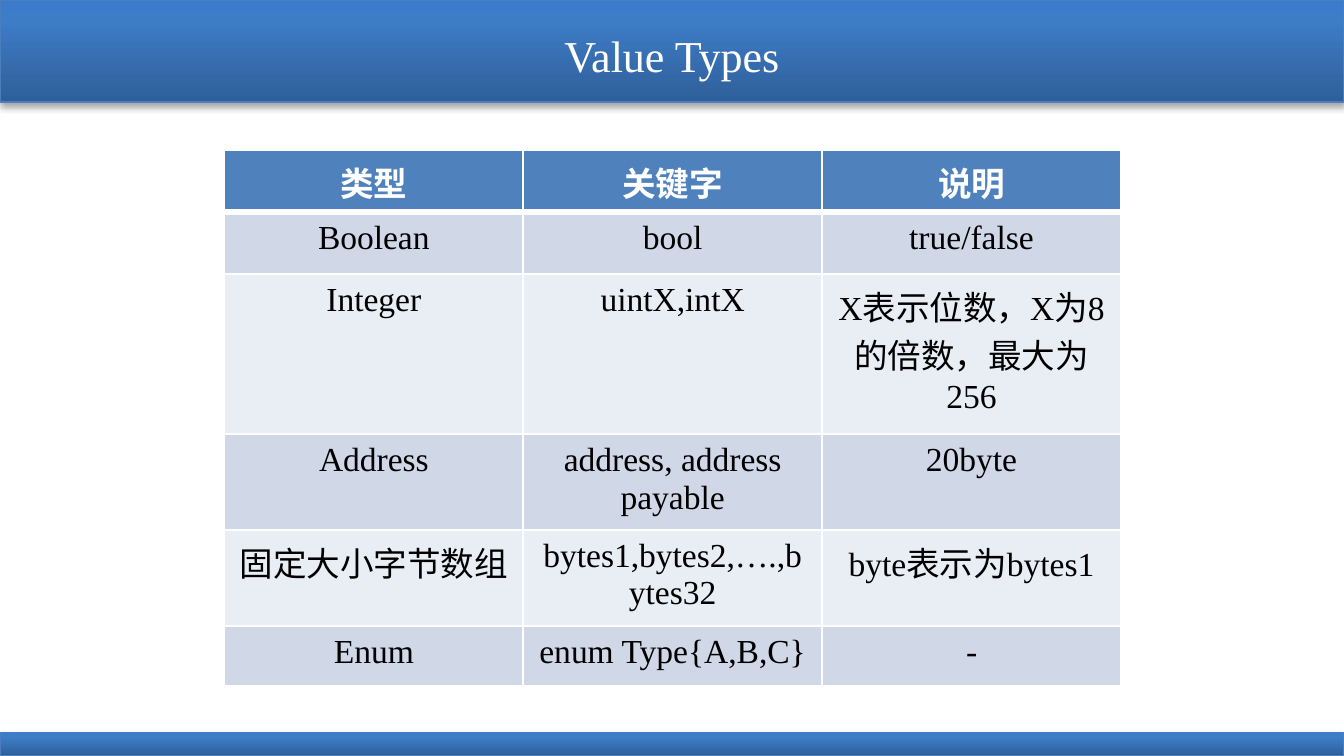
from pptx import Presentation, oxml, util as u
from pptx.dml.color import RGBColor
from pptx.enum import shapes, text
from pptx.oxml import ns

Pt = u.Pt


def color(value):
    return RGBColor.from_string(value)


def add_xml(parent, xml):
    tag, rest = xml.split(" ", 1)
    parent.append(oxml.parse_xml(f"{tag} {ns.nsdecls('a')} {rest}"))


presentation = Presentation()
presentation.slide_width, presentation.slide_height = Pt(640), Pt(360)
slide = presentation.slides.add_slide(presentation.slide_layouts[6])

# Header and footer bars: vertical gradient, thin outline, soft shadow
gradient_stops = [(0, "2F5F99"), (80, "3D7CC7"), (100, "3A7CCB")]
for top, height in [(0, 48.6), (348.8, 11.2)]:
    bar = slide.shapes.add_shape(
        shapes.MSO_SHAPE.RECTANGLE, 0, Pt(top), Pt(640), Pt(height))
    bar.line.color.rgb = color("4B7EBC")
    bar.line.width = Pt(0.75)
    bar.fill.gradient()
    bar.fill.gradient_angle = 90
    properties = bar._element.spPr
    stop_list = properties.find(".//" + ns.qn("a:gsLst"))
    for stop in list(stop_list):
        stop_list.remove(stop)
    for position, value in gradient_stops:
        add_xml(stop_list, f'<a:gs pos="{position * 1000}"><a:srgbClr val="{value}"/></a:gs>')
    bar.shadow.inherit = False
    add_xml(properties.find(ns.qn("a:effectLst")),
            f'<a:outerShdw blurRad="{Pt(3.1)}" dist="{Pt(1.8)}" dir="5400000" rotWithShape="0">'
            '<a:srgbClr val="000000"><a:alpha val="35000"/></a:srgbClr></a:outerShdw>')

# Title
title = slide.shapes.add_textbox(0, Pt(9), Pt(640), Pt(34.6))
title.text_frame.word_wrap = True
title.text_frame.vertical_anchor = text.MSO_ANCHOR.MIDDLE
paragraph = title.text_frame.paragraphs[0]
paragraph.text = "Value Types"
paragraph.alignment = text.PP_ALIGN.CENTER
paragraph.font.name = "Times New Roman"
paragraph.font.size = Pt(21)
paragraph.font.color.rgb = color("FFFFFF")

# Table of value types: row height, then cell texts
rows = [
    (29.5, ("类型", "关键字", "说明")),
    (29.3, ("Boolean", "bool", "true/false")),
    (76.4, ("Integer", "uintX,intX", "X表示位数，X为8的倍数，最大为256")),
    (42.9, ("Address", "address, address payable", "20byte")),
    (42.6, ("固定大小字节数组", "bytes1,bytes2,….,bytes32", "byte表示为bytes1")),
    (28.8, ("Enum", "enum Type{A,B,C}", "-")),
]
table = slide.shapes.add_table(
    len(rows), 3, Pt(106.9), Pt(71.6), Pt(426.9), Pt(sum(height for height, _ in rows))).table

for row_index, (height, contents) in enumerate(rows):
    table.rows[row_index].height = Pt(height)
    header = row_index == 0
    fill = "4F81BD" if header else ("E9EDF4", "D0D8E8")[row_index % 2]
    for column_index, content in enumerate(contents):
        cell = table.cell(row_index, column_index)
        # Slimmer margins keep the longest type name on one line
        if column_index == 0:
            cell.margin_left = cell.margin_right = Pt(6)
        # White borders, thicker between the header and the body
        borders = {"L": 1, "R": 1, "T": 3 if row_index == 1 else 1, "B": 3 if header else 1}
        for side, width in borders.items():
            add_xml(cell._tc.get_or_add_tcPr(),
                    f'<a:ln{side} w="{Pt(width)}"><a:solidFill><a:srgbClr val="FFFFFF"/>'
                    f'</a:solidFill></a:ln{side}>')
        cell.fill.solid()
        cell.fill.fore_color.rgb = color(fill)
        paragraph = cell.text_frame.paragraphs[0]
        paragraph.text = content
        paragraph.alignment = text.PP_ALIGN.CENTER
        paragraph.font.name = "Times New Roman"
        paragraph.font.size = Pt(16)
        paragraph.font.bold = header
        paragraph.font.color.rgb = color("FFFFFF" if header else "000000")

presentation.save("out.pptx")
